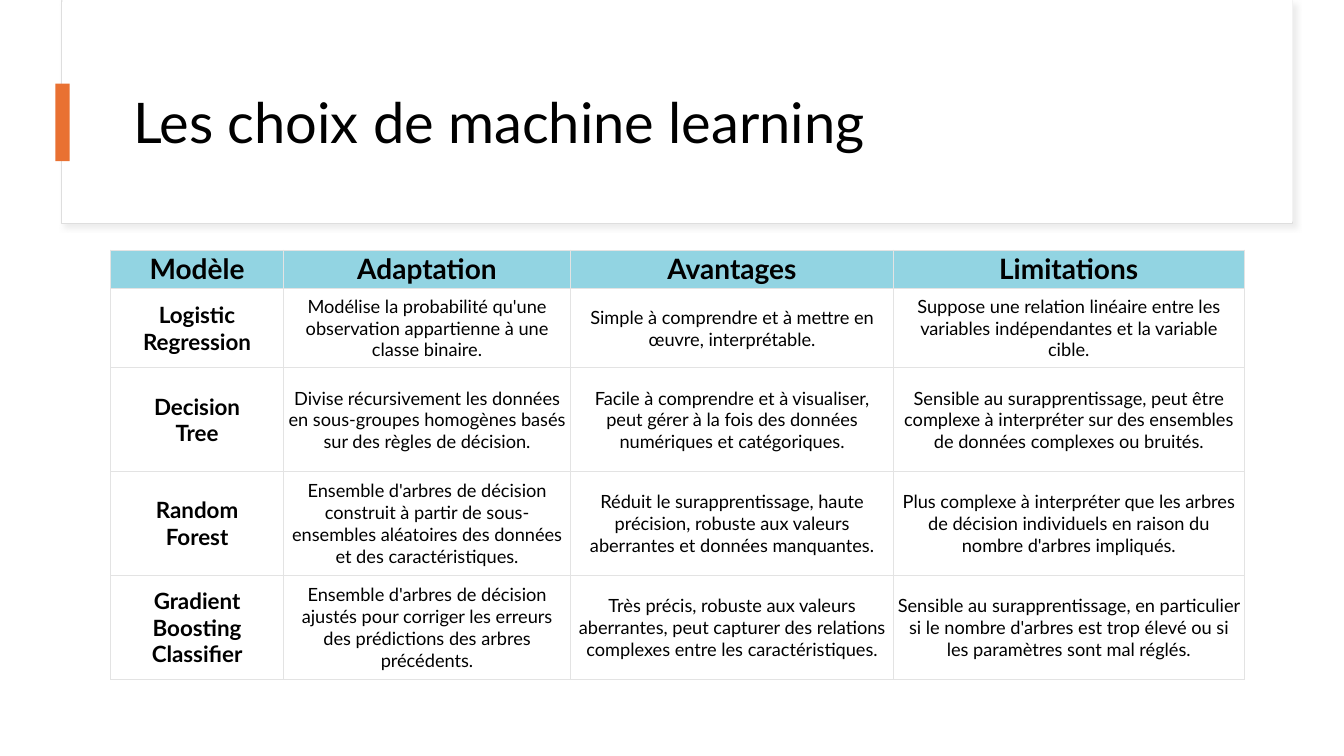
from lxml.etree import SubElement
from pptx import Presentation
from pptx.dml.color import RGBColor
from pptx.enum.shapes import MSO_SHAPE
from pptx.enum.text import MSO_ANCHOR, PP_ALIGN
from pptx.oxml import parse_xml
from pptx.oxml.ns import nsdecls, qn
from pptx.util import Inches, Pt

FONT = "Lato"
COLUMN_WIDTHS = [1.71, 2.85, 3.2, 3.48]
ROW_HEIGHTS = [0.38, 0.79, 1.03, 1.03, 1.03]
HEADERS = ["Modèle", "Adaptation", "Avantages", "Limitations"]
MODELS = [
    ["Logistic\nRegression",
     "Modélise la probabilité qu'une observation appartienne à une classe binaire.",
     "Simple à comprendre et à mettre en œuvre, interprétable.",
     "Suppose une relation linéaire entre les variables indépendantes et la variable cible."],
    ["Decision\nTree",
     "Divise récursivement les données en sous-groupes homogènes basés sur des règles de décision.",
     "Facile à comprendre et à visualiser, peut gérer à la fois des données numériques et catégoriques.",
     "Sensible au surapprentissage, peut être complexe à interpréter sur des ensembles de données "
     "complexes ou bruités."],
    ["Random\nForest",
     "Ensemble d'arbres de décision construit à partir de sous-ensembles aléatoires des données "
     "et des caractéristiques.",
     "Réduit le surapprentissage, haute précision, robuste aux valeurs aberrantes et données manquantes.",
     "Plus complexe à interpréter que les arbres de décision individuels en raison du nombre "
     "d'arbres impliqués."],
    ["Gradient\nBoosting\nClassifier",
     "Ensemble d'arbres de décision ajustés pour corriger les erreurs des prédictions des arbres précédents.",
     "Très précis, robuste aux valeurs aberrantes, peut capturer des relations complexes entre "
     "les caractéristiques.",
     "Sensible au surapprentissage, en particulier si le nombre d'arbres est trop élevé ou si "
     "les paramètres sont mal réglés."],
]


def color(value):
    """Return the colour for a hex string."""
    return RGBColor.from_string(value)


def format_paragraph(paragraph, size, bold=False):
    """Apply the slide's font to a paragraph."""
    paragraph.font.name = FONT
    paragraph.font.size = Pt(size)
    paragraph.font.bold = bold
    paragraph.font.color.rgb = color("000000")


def add_rectangle(slide, left, top, width, height, fill, line=None):
    """Add a flat rectangle with an optional thin outline."""
    shape = slide.shapes.add_shape(
        MSO_SHAPE.RECTANGLE, Inches(left), Inches(top), Inches(width), Inches(height))
    shape.fill.solid()
    shape.fill.fore_color.rgb = color(fill)
    if line:
        shape.line.color.rgb = color(line)
        shape.line.width = Pt(0.75)
    else:
        shape.line.fill.background()
    shape.shadow.inherit = False
    return shape


def add_soft_shadow(shape):
    """Give a shape a light grey shadow to the lower right."""
    effects = shape.element.spPr.find(qn("a:effectLst"))
    shadow = SubElement(effects, qn("a:outerShdw"), blurRad=str(Pt(4)), dist=str(Pt(3)),
                        dir=str(45 * 60000), algn="tl", rotWithShape="0")
    tone = SubElement(shadow, qn("a:srgbClr"), val="D9D9D9")
    SubElement(tone, qn("a:alpha"), val="50000")


def format_title(slide, text):
    """Place and format the title placeholder."""
    title = slide.shapes.title
    title.left, title.top = Inches(1.22), Inches(0.6)
    title.width, title.height = Inches(11.12), Inches(1.29)
    title.text_frame.text = text
    title.text_frame.vertical_anchor = MSO_ANCHOR.MIDDLE
    paragraph = title.text_frame.paragraphs[0]
    paragraph.alignment = PP_ALIGN.LEFT
    paragraph.line_spacing = 0.9
    format_paragraph(paragraph, 40)
    return title


def set_borders(cell, value):
    """Draw thin lines on all four sides of a cell."""
    properties = cell._tc.get_or_add_tcPr()
    for index, side in enumerate("LRTB"):
        properties.insert(index, parse_xml(
            f'<a:ln{side} {nsdecls("a")} w="{Pt(0.75)}"><a:solidFill>'
            f'<a:srgbClr val="{value}"/></a:solidFill></a:ln{side}>'))


def fill_cell(cell, text, size, bold, fill):
    """Write centred text into a bordered cell."""
    cell.text = text
    cell.vertical_anchor = MSO_ANCHOR.MIDDLE
    cell.margin_left = cell.margin_right = Inches(0.04)
    cell.margin_top = cell.margin_bottom = Inches(0.02)
    cell.fill.solid()
    cell.fill.fore_color.rgb = color(fill)
    set_borders(cell, "E3E3E3")
    for paragraph in cell.text_frame.paragraphs:
        paragraph.alignment = PP_ALIGN.CENTER
        format_paragraph(paragraph, size, bold)


def add_model_table(slide):
    """Add the table that compares the models."""
    frame = slide.shapes.add_table(
        len(ROW_HEIGHTS), len(COLUMN_WIDTHS), Inches(1.1), Inches(2.48),
        Inches(sum(COLUMN_WIDTHS)), Inches(sum(ROW_HEIGHTS)))
    table = frame.table
    table.horz_banding = False
    for column, width in zip(table.columns, COLUMN_WIDTHS):
        column.width = Inches(width)
    for row, height in zip(table.rows, ROW_HEIGHTS):
        row.height = Inches(height)
    for column_index, header in enumerate(HEADERS):
        fill_cell(table.cell(0, column_index), header, 20, True, "92D4E2")
    for row_index, model in enumerate(MODELS, start=1):
        for column_index, text in enumerate(model):
            is_name = column_index == 0
            fill_cell(table.cell(row_index, column_index), text,
                      16 if is_name else 13, is_name, "FFFFFF")


def main():
    """Build and save the slide."""
    presentation = Presentation()
    presentation.slide_width = Inches(13.33)
    presentation.slide_height = Inches(7.5)
    slide = presentation.slides.add_slide(presentation.slide_layouts[5])
    title = format_title(slide, "Les choix de machine learning")
    outline = add_rectangle(slide, 0.61, 0.01, 12.21, 2.21, "FFFFFF", "DEDEDE")
    add_soft_shadow(outline)
    panel = add_rectangle(slide, 0.62, 0, 12.2, 2.2, "FFFFFF")
    for shape in (outline, panel):
        title.element.addprevious(shape.element)
    add_rectangle(slide, 0.55, 0.83, 0.14, 0.77, "E97132")
    add_model_table(slide)
    presentation.save("out.pptx")


if __name__ == "__main__":
    main()
